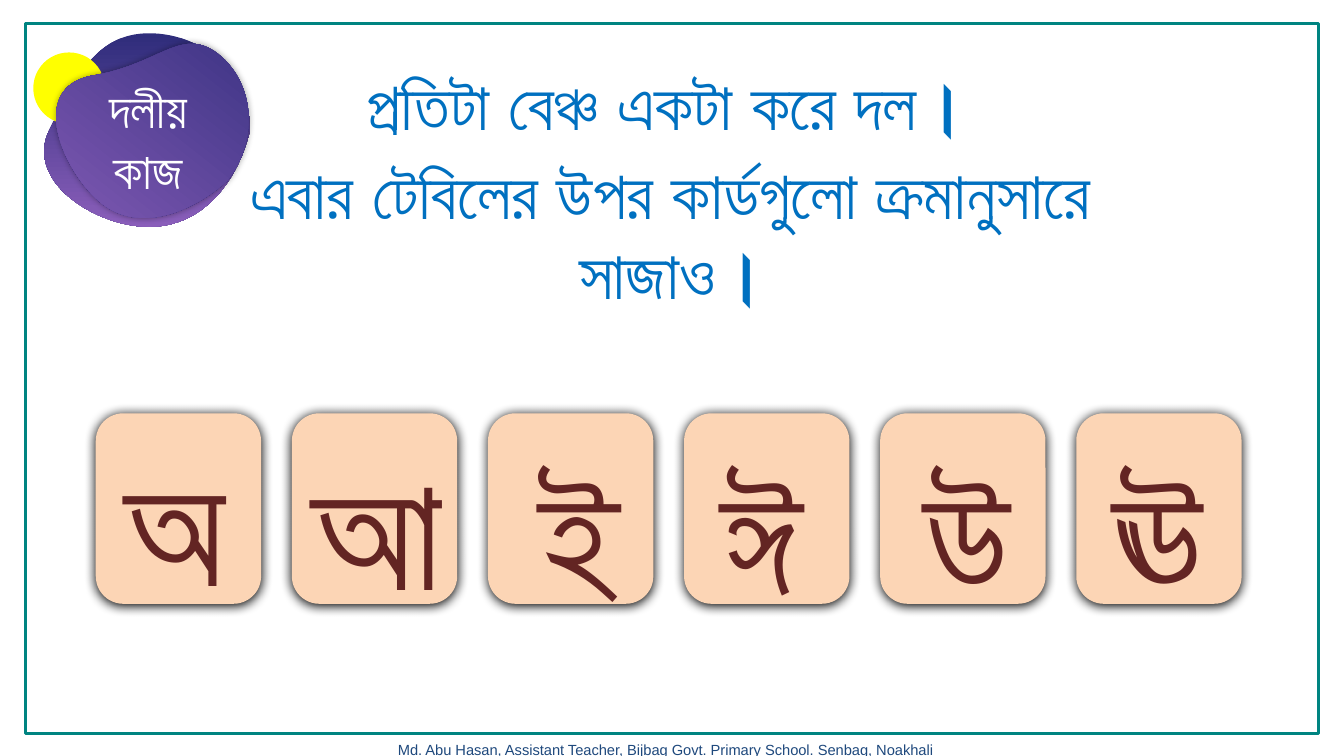
"""Build the group-work slide with six Bengali vowel cards."""
import math

from lxml import etree
from pptx import Presentation
from pptx import util as u
from pptx.dml.color import RGBColor
from pptx.enum import shapes, text
from pptx.oxml import ns

COLORS = {
    "frame": "008481", "footer": "1F497D", "heading": "0070C0",
    "card": "FCD5B5", "letter": "632523", "sun": "FFFF00",
    "violet_dark": "2F2D7B", "violet_light": "8A5EBA",
    "white": "FFFFFF", "shadow": "000000",
}
CARD_LEFT, CARD_STEP, CARD_TOP = 0.95, 1.945, 4.1
CARD_WIDTH, CARD_HEIGHT = 1.64, 1.89
LETTERS = [
    ("অ", 1.14, 4.17, 1.16), ("আ", 2.99, 4.21, 1.46), ("ই", 5.24, 4.25, 0.94),
    ("ঈ", 7.05, 4.25, 1.06), ("উ", 9.06, 4.25, 1), ("ঊ", 10.94, 4.25, 1.12),
]
BACK_PLACE = (0.44, 0.33, 2.04, 1.92)
BACK_CURVE = [
    (0.49, 1.29),
    (0.75, 0.79), (0.94, 0.33), (1.48, 0.33),
    (2.03, 0.33), (2.48, 0.76), (2.48, 1.29),
    (2.37, 1.77), (2.03, 2.25), (1.48, 2.25),
    (0.94, 2.25), (0.24, 1.79), (0.49, 1.29),
]
FRONT_PLACE, FRONT_ROTATION = (0.62, 0.3, 1.83, 1.88), 38.2
FRONT_CURVE = [
    (0.92, 0.75),
    (1.59, 0.64), (1.8, 0.25), (2.17, 0.54),
    (2.53, 0.83), (2.57, 1.4), (2.25, 1.8),
    (1.89, 2.12), (1.37, 2.31), (1.01, 2.02),
    (0.64, 1.73), (0.25, 0.87), (0.92, 0.75),
]
UNITS = 1000


def color(name):
    """Return the named colour."""
    return RGBColor.from_string(COLORS[name])


def box(left, top, width, height):
    """Return a position and size as lengths."""
    return [u.Inches(value) for value in (left, top, width, height)]


def write(shape, lines, size, font, color_name, bold=True, align=None, wrap=True):
    """Write one paragraph per line into a shape."""
    frame = shape.text_frame
    frame.word_wrap = wrap
    frame.auto_size = text.MSO_AUTO_SIZE.SHAPE_TO_FIT_TEXT
    frame.vertical_anchor = text.MSO_ANCHOR.TOP
    for index, line in enumerate(lines):
        paragraph = frame.add_paragraph() if index else frame.paragraphs[0]
        paragraph.alignment = align
        run = paragraph.add_run()
        run.text = line
        run.font.size = u.Pt(size)
        run.font.name = font
        run.font.bold = bold
        run.font.color.rgb = color(color_name)


def add_text(parent, place, lines, size, font, color_name, **options):
    """Add a text box."""
    shape = parent.add_textbox(*box(*place))
    write(shape, lines, size, font, color_name, **options)


def add_plain(parent, kind, place, fill=None, line=None):
    """Add a preset shape with a flat fill or a thin outline."""
    shape = parent.add_shape(kind, *box(*place))
    shape.shadow.inherit = False
    if fill:
        shape.fill.solid()
        shape.fill.fore_color.rgb = color(fill)
    else:
        shape.fill.background()
    if line:
        shape.line.color.rgb = color(line)
        shape.line.width = u.Pt(2)
    else:
        shape.line.fill.background()
    return shape


def add_shadow(shape, opacity, blur, distance, angle):
    """Give a shape an outer shadow."""
    effects = shape._element.spPr.find(ns.qn("a:effectLst"))
    shadow = etree.SubElement(
        effects, ns.qn("a:outerShdw"), blurRad=str(u.Pt(blur)),
        dist=str(u.Pt(distance)), dir=str(angle * 60000),
        algn="ctr", rotWithShape="0")
    tint = etree.SubElement(shadow, ns.qn("a:srgbClr"), val=COLORS["shadow"])
    etree.SubElement(tint, ns.qn("a:alpha"), val=str(opacity * 1000))


def turn(points, center, degrees):
    """Rotate points clockwise about a center."""
    cosine, sine = math.cos(math.radians(degrees)), math.sin(math.radians(degrees))
    offsets = [(x - center[0], y - center[1]) for x, y in points]
    return [(center[0] + dx * cosine - dy * sine, center[1] + dx * sine + dy * cosine)
            for dx, dy in offsets]


def add_points(outline, command, points):
    """Append a drawing command with its points to an outline."""
    element = etree.SubElement(outline, ns.qn(command))
    for x, y in points:
        etree.SubElement(element, ns.qn("a:pt"),
                         x=str(round(x * UNITS)), y=str(round(y * UNITS)))


def add_blob(parent, place, curve, rotation=0):
    """Add a closed Bezier outline with the violet gradient."""
    left, top, width, height = place
    right, bottom = left + width, top + height
    corners = [(round(x * UNITS), round(y * UNITS)) for x, y in
               ((left, top), (right, top), (right, bottom), (left, bottom))]
    builder = parent.build_freeform(*corners[0], scale=u.Inches(1) / UNITS)
    builder.add_line_segments(corners[1:], close=True)
    shape = builder.convert_to_shape()

    center = (left + width / 2, top + height / 2)
    points = [(x - left, y - top) for x, y in turn(curve, center, -rotation)]
    outline = next(shape._element.iter(ns.qn("a:path")))
    for command in list(outline):
        outline.remove(command)
    add_points(outline, "a:moveTo", points[:1])
    for start in range(1, len(points), 3):
        add_points(outline, "a:cubicBezTo", points[start:start + 3])
    etree.SubElement(outline, ns.qn("a:close"))

    shape.rotation = rotation
    shape.shadow.inherit = False
    shape.line.fill.background()
    shape.fill.gradient()
    shape.fill.gradient_angle = 270
    for stop, name in zip(shape.fill.gradient_stops, ("violet_dark", "violet_light")):
        stop.color.rgb = color(name)
    return shape


def add_badge(slide):
    """Add the group-work badge."""
    parent = slide.shapes.add_group_shape().shapes
    add_blob(parent, BACK_PLACE, BACK_CURVE)
    add_plain(parent, shapes.MSO_SHAPE.OVAL, (0.33, 0.52, 0.71, 0.71), fill="sun")
    front = add_blob(parent, FRONT_PLACE, FRONT_CURVE, FRONT_ROTATION)
    add_shadow(front, 40, 5, 0, 0)
    add_text(parent, (0.96, 0.73, 1.16, 1.31), ["দলীয় ", "কাজ "], 36, "Calibri",
             "white", align=text.PP_ALIGN.CENTER, wrap=False)


def add_card(slide, index, letter, left, top, width):
    """Add one letter card."""
    parent = slide.shapes.add_group_shape().shapes
    card = add_plain(
        parent, shapes.MSO_SHAPE.ROUNDED_RECTANGLE,
        (CARD_LEFT + index * CARD_STEP, CARD_TOP, CARD_WIDTH, CARD_HEIGHT), fill="card")
    add_shadow(card, 100, 8.5, 1, 90)
    add_text(parent, (left, top, width, 2.04), [letter], 115, "Arial", "letter", wrap=False)


def main():
    """Build and save the slide."""
    presentation = Presentation()
    presentation.slide_width, presentation.slide_height = u.Inches(13.33), u.Inches(7.5)
    slide = presentation.slides.add_slide(presentation.slide_layouts[5])
    center = text.PP_ALIGN.CENTER

    title = slide.shapes.title
    title.left, title.top, title.width, title.height = box(1.77, 0.58, 9.83, 0.91)
    write(title, ["প্রতিটা বেঞ্চ একটা করে দল। "], 48, "Calibri", "heading", align=center)

    add_text(slide.shapes, (3.5, 7.3, 6.21, 0.28),
             ["Md. Abu Hasan, Assistant Teacher, Bijbag Govt. Primary School. Senbag, Noakhali"],
             10.5, "Arial", "footer", bold=False, align=center)
    add_badge(slide)
    add_plain(slide.shapes, shapes.MSO_SHAPE.RECTANGLE, (0.25, 0.23, 12.83, 7.05), line="frame")
    add_text(slide.shapes, (1.73, 1.46, 9.83, 1.72),
             ["এবার টেবিলের উপর কার্ডগুলো ক্রমানুসারে সাজাও।"],
             48, "Calibri", "heading", align=center)
    for index, card in enumerate(LETTERS):
        add_card(slide, index, *card)
    presentation.save("out.pptx")


if __name__ == "__main__":
    main()
